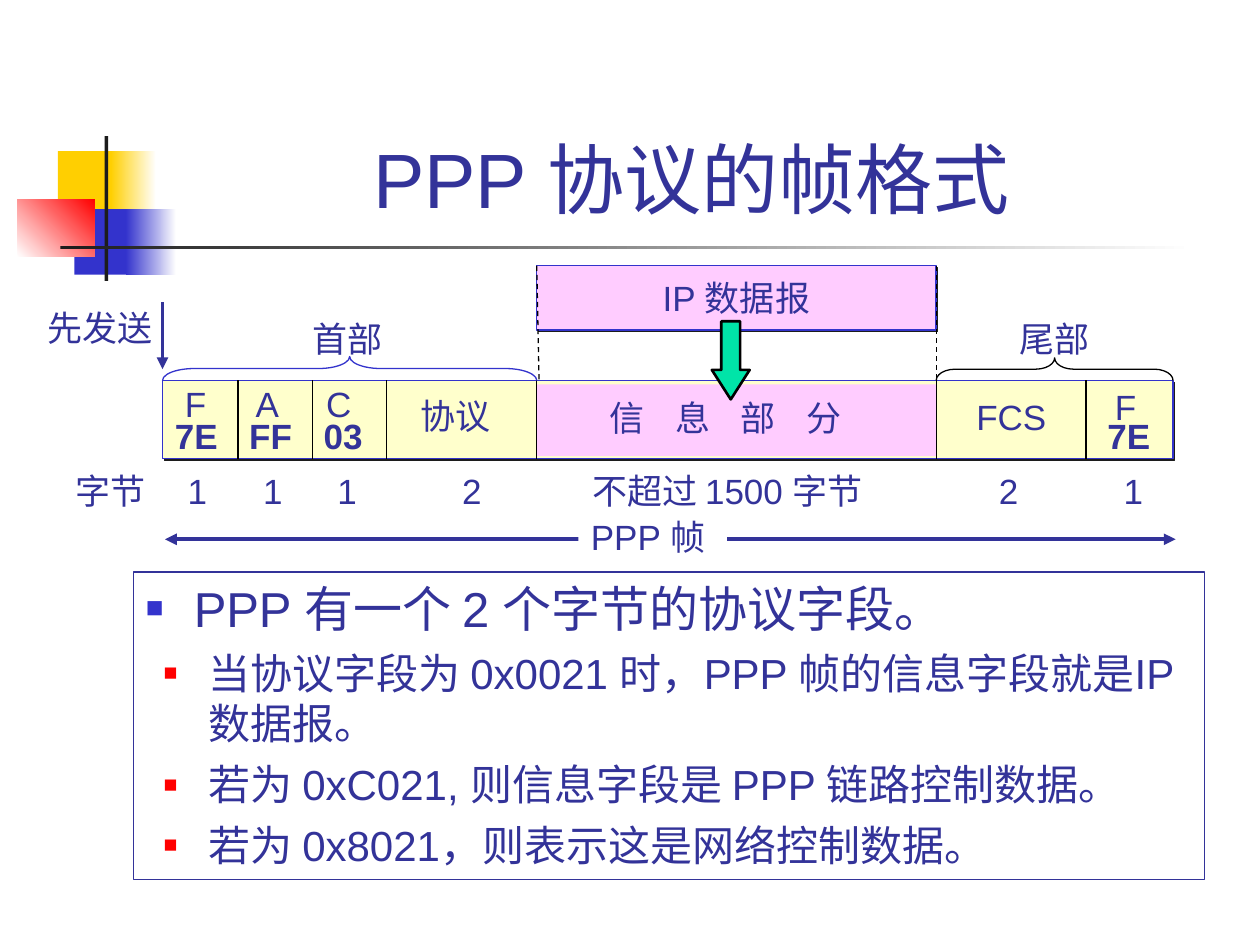
from lxml.etree import SubElement
from pptx import Presentation
from pptx.dml.color import RGBColor
from pptx.enum.dml import MSO_LINE
from pptx.enum.shapes import MSO_CONNECTOR, MSO_SHAPE
from pptx.enum.text import MSO_ANCHOR, MSO_AUTO_SIZE, PP_ALIGN
from pptx.oxml.ns import qn
from pptx.util import Inches, Pt

FONT = "Arial"
INK = RGBColor(0x33, 0x33, 0x99)
BLUE = RGBColor(0x33, 0x33, 0xCC)
YELLOW = RGBColor(0xFF, 0xCF, 0x01)
RED = RGBColor(0xFF, 0x00, 0x00)
WHITE = RGBColor(0xFF, 0xFF, 0xFF)
BLACK = RGBColor(0x00, 0x00, 0x00)
CHARCOAL = RGBColor(0x1C, 0x1C, 0x1C)
PINK = RGBColor(0xFF, 0xCC, 0xFF)
CREAM = RGBColor(0xFF, 0xFF, 0xCC)
GREEN = RGBColor(0x00, 0xE4, 0xA8)
LABEL_HEIGHT = 0.44


def add_block(page, left, top, width, height, fill=None, line=None,
              weight=0.75, kind=MSO_SHAPE.RECTANGLE):
    block = page.shapes.add_shape(
        kind, Inches(left), Inches(top), Inches(width), Inches(height))
    block.shadow.inherit = False
    if fill is None:
        block.fill.background()
    else:
        block.fill.solid()
        block.fill.fore_color.rgb = fill
    if line is None:
        block.line.fill.background()
    else:
        block.line.color.rgb = line
        block.line.width = Pt(weight)
    return block


def add_fade(page, left, top, width, height, start, end, angle=0):
    fade = add_block(page, left, top, width, height)
    fade.fill.gradient()
    fade.fill.gradient_angle = angle
    for stop, color in zip(fade.fill.gradient_stops, (start, end)):
        stop.color.rgb = color


def add_hard_shadow(block):
    effects = block._element.spPr.find(qn("a:effectLst"))
    shadow = SubElement(effects, qn("a:outerShdw"), blurRad="0",
                        dist=str(Pt(1.4)), dir="2700000", algn="ctr",
                        rotWithShape="0")
    SubElement(shadow, qn("a:srgbClr"), val=str(CHARCOAL))


def add_line(page, x1, y1, x2, y2, color=BLACK, weight=0.75, dash=None,
             arrows=()):
    """Arrows names the arrowed ends: headEnd is the start, tailEnd the end."""
    line = page.shapes.add_connector(
        MSO_CONNECTOR.STRAIGHT, Inches(x1), Inches(y1), Inches(x2), Inches(y2))
    line.line.color.rgb = color
    line.line.width = Pt(weight)
    if dash:
        line.line.dash_style = dash
    for end in arrows:
        SubElement(line.line._get_or_add_ln(), qn(f"a:{end}"), type="triangle")
    SubElement(line._element.spPr, qn("a:effectLst"))


def write(para, text, size=20, bold=False):
    span = para.add_run()
    span.text = text
    span.font.name = FONT
    span.font.size = Pt(size)
    span.font.bold = bold
    span.font.color.rgb = INK
    return span


def add_label(page, text, left, top, width, bold=False):
    """Add a one-line label whose box grows with its text."""
    box = page.shapes.add_textbox(
        Inches(left), Inches(top), Inches(width), Inches(LABEL_HEIGHT))
    box.text_frame.word_wrap = False
    box.text_frame.auto_size = MSO_AUTO_SIZE.SHAPE_TO_FIT_TEXT
    return write(box.text_frame.paragraphs[0], text, bold=bold)


def add_brace(page, left, top, width, height, color, curl):
    """Place a brace that points up and spans the given box."""
    brace = add_block(page, left + (width - height) / 2,
                      top + (height - width) / 2, height, width,
                      line=color, kind=MSO_SHAPE.LEFT_BRACE)
    brace.rotation = 90
    brace.adjustments[0] = curl


def draw_ornament(page, left, top):
    add_block(page, left + 0.32, top + 0.12, 0.48, 0.52, YELLOW)
    add_fade(page, left + 0.74, top + 0.12, 0.36, 0.52, YELLOW, WHITE)
    add_block(page, left + 0.45, top + 0.58, 0.46, 0.52, BLUE)
    add_fade(page, left + 0.86, top + 0.58, 0.4, 0.52, BLUE, WHITE)
    add_fade(page, left, top + 0.5, 0.61, 0.46, WHITE, RED, 45)
    add_block(page, left + 0.69, top, 0.03, 1.15, CHARCOAL)
    add_fade(page, left + 0.34, top + 0.87, 9, 0.03, CHARCOAL, WHITE)


def draw_title(page, left, top, width, height):
    box = page.shapes.add_textbox(
        Inches(left), Inches(top), Inches(width), Inches(height))
    frame = box.text_frame
    frame.word_wrap = True
    frame.vertical_anchor = MSO_ANCHOR.BOTTOM
    frame.paragraphs[0].alignment = PP_ALIGN.CENTER
    write(frame.paragraphs[0], "PPP 协议的帧格式", 44)


def draw_datagram(page, left, top, width, height):
    block = add_block(page, left, top, width, height, PINK, BLUE)
    add_hard_shadow(block)
    frame = block.text_frame
    frame.word_wrap = False
    frame.vertical_anchor = MSO_ANCHOR.MIDDLE
    frame.paragraphs[0].alignment = PP_ALIGN.CENTER
    write(frame.paragraphs[0], "IP 数据报")
    add_line(page, left, top, left + 0.02, top + 1, dash=MSO_LINE.DASH)
    add_line(page, left + width, top, left + width, top + 0.96,
             dash=MSO_LINE.DASH)


def draw_frame(page, left, top, width, height):
    add_hard_shadow(add_block(page, left, top, width, height, CREAM, BLUE))
    info, trailer = 2.97, 6.14
    add_block(page, left + info, top + 0.03, trailer - info, height - 0.05, PINK)
    for edge in (0.6, 1.19, 1.78, info, trailer, 7.33):
        add_line(page, left + edge, top, left + edge, top + height)

    for text, x, y, label_width, bold in (
            ("F", 0.08, -0.03, 0.37, False), ("7E", 0, 0.22, 0.54, True),
            ("A", 0.64, -0.03, 0.38, False), ("FF", 0.59, 0.22, 0.54, True),
            ("C", 1.2, -0.03, 0.4, False), ("03", 1.18, 0.22, 0.51, True),
            ("协议", 1.95, 0.06, 0.76, False), ("FCS", 6.36, 0.07, 0.76, False),
            ("F", 7.46, -0.01, 0.37, False), ("7E", 7.4, 0.22, 0.54, True)):
        add_label(page, text, left + x, top + y, label_width, bold)
    info_span = add_label(page, "信 息 部 分", left + 3.45, top + 0.08, 2.06)
    info_span.font._element.set("spc", "650")

    add_brace(page, left, top - 0.19, info, 0.19, BLUE, 1.31)
    add_brace(page, left + trailer, top - 0.18, width - trailer, 0.18, BLACK, 0.83)
    add_label(page, "首部", left + 1.09, top - 0.55, 0.76)
    add_label(page, "尾部", left + 6.7, top - 0.55, 0.76)
    add_label(page, "先发送", left - 1.01, top - 0.64, 1.04)
    add_line(page, left, top - 0.62, left, top - 0.09, INK, 2.25,
             arrows=("tailEnd",))


def draw_lengths(page, left, top, width):
    """Write the byte counts under the frame and the span of the whole frame."""
    add_label(page, "字节", left - 0.79, top, 0.76)
    for text, x in (("1", 0.1), ("1", 0.7), ("1", 1.29), ("2", 2.28),
                    ("2", 6.54), ("1", 7.53)):
        add_label(page, text, left + x, top, 0.35)
    add_label(page, "不超过 1500 字节", left + 3.31, top, 2.48)
    add_line(page, left + 0.02, top + 0.6, left + width + 0.02, top + 0.6,
             INK, 2.25, arrows=("headEnd", "tailEnd"))
    add_block(page, left + 3.3, top + 0.36, 1.18, LABEL_HEIGHT, WHITE)
    add_label(page, "PPP 帧", left + 3.3, top + 0.36, 1.18)


def add_bullet(para, color, percent, margin, hang):
    props = para._p.get_or_add_pPr()
    props.set("marL", str(Inches(margin)))
    props.set("indent", str(Inches(-hang)))
    tint = SubElement(props, qn("a:buClr"))
    SubElement(tint, qn("a:srgbClr"), val=str(color))
    SubElement(props, qn("a:buSzPct"), val=str(percent * 1000))
    SubElement(props, qn("a:buFont"), typeface=FONT)
    SubElement(props, qn("a:buChar"), char="■")


def draw_notes(page, left, top, width, height):
    panel = add_block(page, left, top, width, height, line=INK)
    frame = panel.text_frame
    frame.word_wrap = True
    frame.vertical_anchor = MSO_ANCHOR.TOP
    heading = frame.paragraphs[0]
    heading.alignment = PP_ALIGN.LEFT
    add_bullet(heading, BLUE, 60, 0.38, 0.38)
    write(heading, "PPP 有一个 2 个字节的协议字段。", 28)
    for text in ("当协议字段为 0x0021 时，PPP 帧的信息字段就是IP 数据报。",
                 "若为 0xC021, 则信息字段是 PPP 链路控制数据。",
                 "若为 0x8021，则表示这是网络控制数据。"):
        para = frame.add_paragraph()
        para.level = 1
        para.alignment = PP_ALIGN.LEFT
        para.space_before = Pt(6)
        add_bullet(para, RED, 55, 0.5, 0.36)
        write(para, text, 24)


def main():
    deck = Presentation()
    deck.slide_width, deck.slide_height = Inches(10), Inches(7.5)
    page = deck.slides.add_slide(deck.slide_layouts[6])
    draw_ornament(page, 0.14, 1.08)
    draw_title(page, 0.98, 0.23, 9.02, 1.6)
    draw_notes(page, 1.06, 4.54, 8.5, 2.44)
    draw_datagram(page, 4.26, 2.11, 3.17, 0.51)
    draw_lengths(page, 1.29, 3.68, 8.02)
    draw_frame(page, 1.29, 3.02, 8.02, 0.62)
    arrow = add_block(page, 5.65, 2.55, 0.3, 0.62, GREEN, BLACK, 1.5,
                      MSO_SHAPE.DOWN_ARROW)
    arrow.adjustments[1] = 0.78
    deck.save("out.pptx")


if __name__ == "__main__":
    main()
